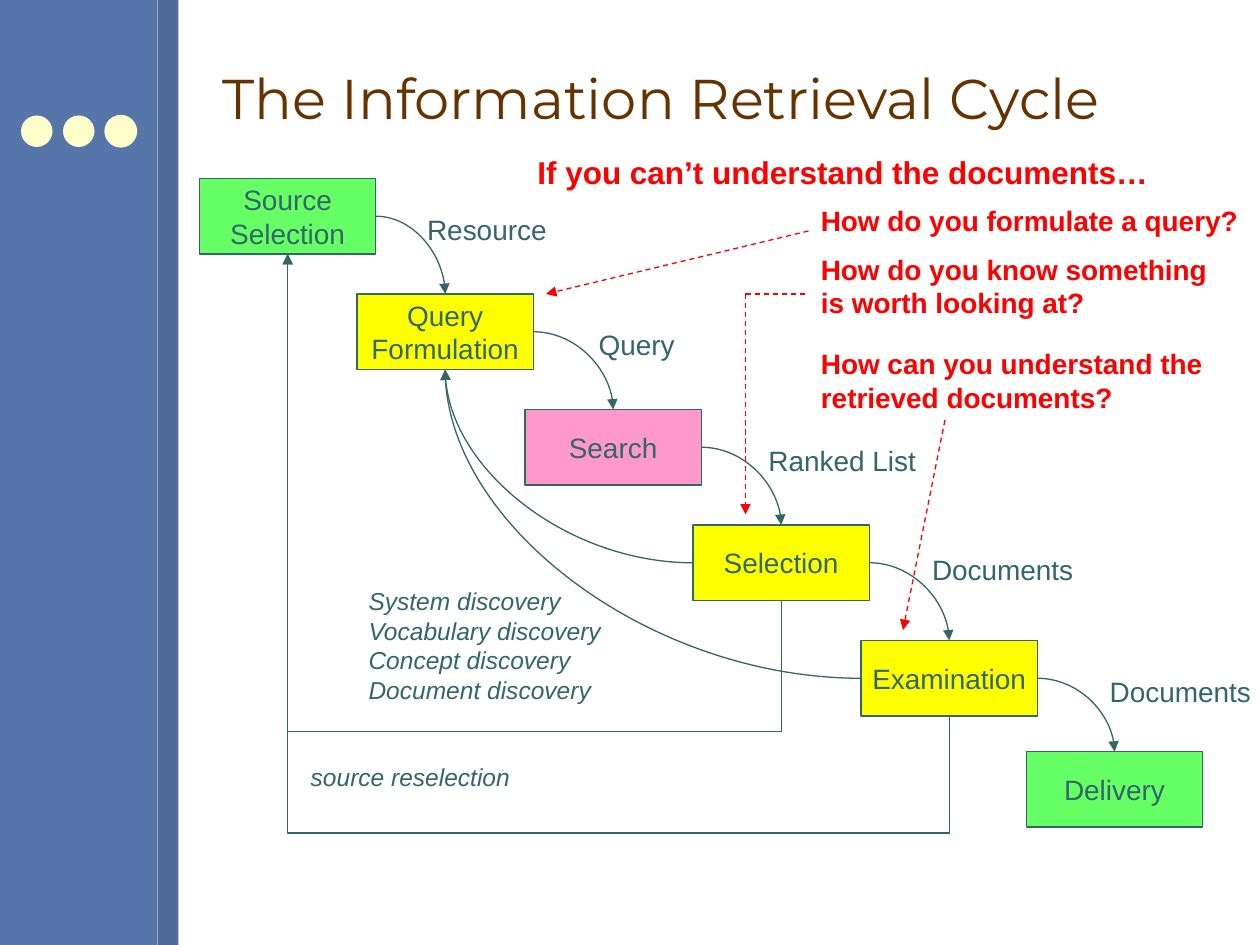
import pptx
import pptx.util
import pptx.dml.color
import pptx.enum.dml
import pptx.enum.shapes
import pptx.enum.text
import pptx.oxml
import pptx.oxml.ns

Pt = pptx.util.Pt
RGB = pptx.dml.color.RGBColor
SHAPE = pptx.enum.shapes.MSO_SHAPE
LINK = pptx.enum.shapes.MSO_CONNECTOR
ALIGN = pptx.enum.text.PP_ALIGN
ANCHOR = pptx.enum.text.MSO_ANCHOR

BLUE = RGB(0x56, 0x75, 0xA9)
NAVY = RGB(0x4D, 0x69, 0x97)
CREAM = RGB(0xFF, 0xFF, 0xCC)
BROWN = RGB(0x66, 0x33, 0x00)
TEAL = RGB(0x33, 0x66, 0x66)
GREEN = RGB(0x66, 0xFF, 0x66)
YELLOW = RGB(0xFF, 0xFF, 0x00)
PINK = RGB(0xFF, 0x99, 0xCC)
RED = RGB(0xFF, 0x00, 0x00)

WIDE, HIGH = 100.8, 43.2
TOP, LEFT, BOTTOM, RIGHT = range(4)  # connection sites of a rectangle


def write(shape, text, size=16, color=TEAL, font="Arial", bold=False,
          italic=False, align=ALIGN.LEFT, anchor=ANCHOR.TOP, wrap=False):
    """Fill a shape with text, one paragraph for each line."""
    frame = shape.text_frame
    frame.text = text
    frame.word_wrap = wrap
    frame.vertical_anchor = anchor
    for para in frame.paragraphs:
        para.alignment = align
        para.font.name = font
        para.font.size = Pt(size)
        para.font.color.rgb = color
        para.font.bold = bold
        para.font.italic = italic


def label(slide, text, x, y, w, h, **style):
    box = slide.shapes.add_textbox(Pt(x), Pt(y), Pt(w), Pt(h))
    write(box, text, **style)


def block(slide, kind, x, y, w, h, fill, line=None):
    shape = slide.shapes.add_shape(kind, Pt(x), Pt(y), Pt(w), Pt(h))
    shape.shadow.inherit = False
    shape.fill.solid()
    shape.fill.fore_color.rgb = fill
    if line is None:
        shape.line.fill.background()
    else:
        shape.line.color.rgb = line
        shape.line.width = Pt(0.75)
    return shape


def element(tag, **values):
    node = pptx.oxml.parse_xml(f"<a:{tag} {pptx.oxml.ns.nsdecls('a')}/>")
    for key, value in values.items():
        node.set(key, value)
    return node


def link(slide, kind, ends=(0, 0, 0, 0), color=TEAL, dash=False, head=True):
    wire = slide.shapes.add_connector(kind, *map(Pt, ends))
    wire.line.color.rgb = color
    wire.line.width = Pt(0.75)
    if dash:
        wire.line.dash_style = pptx.enum.dml.MSO_LINE.DASH
    if head:
        wire.line._get_or_add_ln().append(element("tailEnd", type="triangle"))
    wire._element.spPr.append(element("effectLst"))
    return wire


def join(wire, start, exit_, end, entry):
    wire.begin_connect(start, exit_)
    wire.end_connect(end, entry)


def curve(slide, start, exit_, end, entry):
    """Join two boxes with a quarter curve."""
    wire = link(slide, LINK.CURVE)
    join(wire, start, exit_, end, entry)
    wire._element.spPr.prstGeom.set("prst", "curvedConnector2")


def loop(slide, start, end, low):
    """Run from the bottom of start down to low, then back up to end."""
    wire = link(slide, LINK.ELBOW)
    join(wire, start, BOTTOM, end, BOTTOM)
    x, y, across, rise = wire.left, wire.top, wire.width, wire.height
    wire.left, wire.top = x + (across - rise) // 2, y + (rise - across) // 2
    wire.width, wire.height = rise, across
    spot = wire._element.spPr.xfrm
    spot.set("rot", str(270 * 60000))
    spot.set("flipH", "0")
    spot.set("flipV", "1")
    drop = Pt(low) - (start.top + start.height)
    bend = element("gd", name="adj1", fmla=f"val {round(-100000 * drop / rise)}")
    wire._element.spPr.prstGeom.get_or_add_avLst().append(bend)


def sidebar(slide, x, y, h):
    block(slide, SHAPE.RECTANGLE, x, y, 90, h, BLUE)
    block(slide, SHAPE.RECTANGLE, x + 90, y, 12, h, NAVY)
    for i in range(3):
        block(slide, SHAPE.OVAL, x + 12 + 24 * i, y + 66, 18, 18, CREAM,
              CREAM if i == 2 else None)


def heading(slide, x, y, w, h):
    title = slide.shapes.title
    title.left, title.top, title.width, title.height = map(Pt, (x, y, w, h))
    write(title, "The Information Retrieval Cycle", size=32, color=BROWN,
          font="Montserrat", anchor=ANCHOR.MIDDLE, wrap=True)


def cycle(slide, x, y):
    """Draw the steps, the results passed on, and the feedback paths."""
    steps = [("Source\nSelection", GREEN, 0, 0),
             ("Query\nFormulation", YELLOW, 90, 66),
             ("Search", PINK, 186, 132),
             ("Selection", YELLOW, 282, 198),
             ("Examination", YELLOW, 378, 264),
             ("Delivery", GREEN, 472.5, 327.5)]
    boxes = []
    for text, fill, dx, dy in steps:
        box = block(slide, SHAPE.RECTANGLE, x + dx, y + dy, WIDE, HIGH,
                    fill, TEAL)
        write(box, text, align=ALIGN.CENTER, anchor=ANCHOR.MIDDLE)
        boxes.append(box)
    for start, end in zip(boxes, boxes[1:]):
        curve(slide, start, RIGHT, end, TOP)

    results = [("Resource", 123, 16, 83), ("Query", 221, 81.5, 58),
               ("Ranked List", 318, 148, 99), ("Documents", 411.5, 210, 95),
               ("Documents", 513, 280, 95)]
    for text, dx, dy, w in results:
        label(slide, text, x + dx, y + dy, w, 26.5)

    source, query, _, choice, exam, _ = boxes
    for step, low in ((choice, 316), (exam, 374)):
        curve(slide, step, LEFT, query, BOTTOM)
        loop(slide, step, source, y + low)
    label(slide, "System discovery\nVocabulary discovery\n"
          "Concept discovery\nDocument discovery",
          x + 89.5, y + 229.5, 148, 75, size=14, italic=True)
    label(slide, "source reselection", x + 56.5, y + 330, 166, 24.5,
          size=14, italic=True)


def doubts(slide, x, y):
    """Ask the red questions and point each at its step."""
    red = dict(color=RED, bold=True, wrap=True)
    label(slide, "If you can’t understand the documents…", x, y, 380, 29,
          size=18, **red)
    asks = [("How do you formulate a query?", 29, 258, 26.5),
            ("How do you know something is worth looking at?", 56.5, 252, 46),
            ("How can you understand the retrieved documents?", 110.5, 234, 46)]
    for text, dy, w, h in asks:
        label(slide, text, x + 162, y + dy, w, h, **red)
    lines = [(126, 84, 126, 210, True), (126, 84, 162, 84, False),
             (162, 48, 12, 84, True), (240, 156, 216, 276, True)]
    for ax, ay, bx, by, head in lines:
        link(slide, LINK.STRAIGHT, (x + ax, y + ay, x + bx, y + by),
             color=RED, dash=True, head=head)


def main():
    deck = pptx.Presentation()
    deck.slide_width, deck.slide_height = Pt(720), Pt(540)
    slide = deck.slides.add_slide(deck.slide_layouts[5])
    sidebar(slide, 0, 0, 540)
    heading(slide, 120, 15, 576, 81)
    cycle(slide, 114, 102)
    doubts(slide, 300, 84)
    deck.save("out.pptx")


if __name__ == "__main__":
    main()
